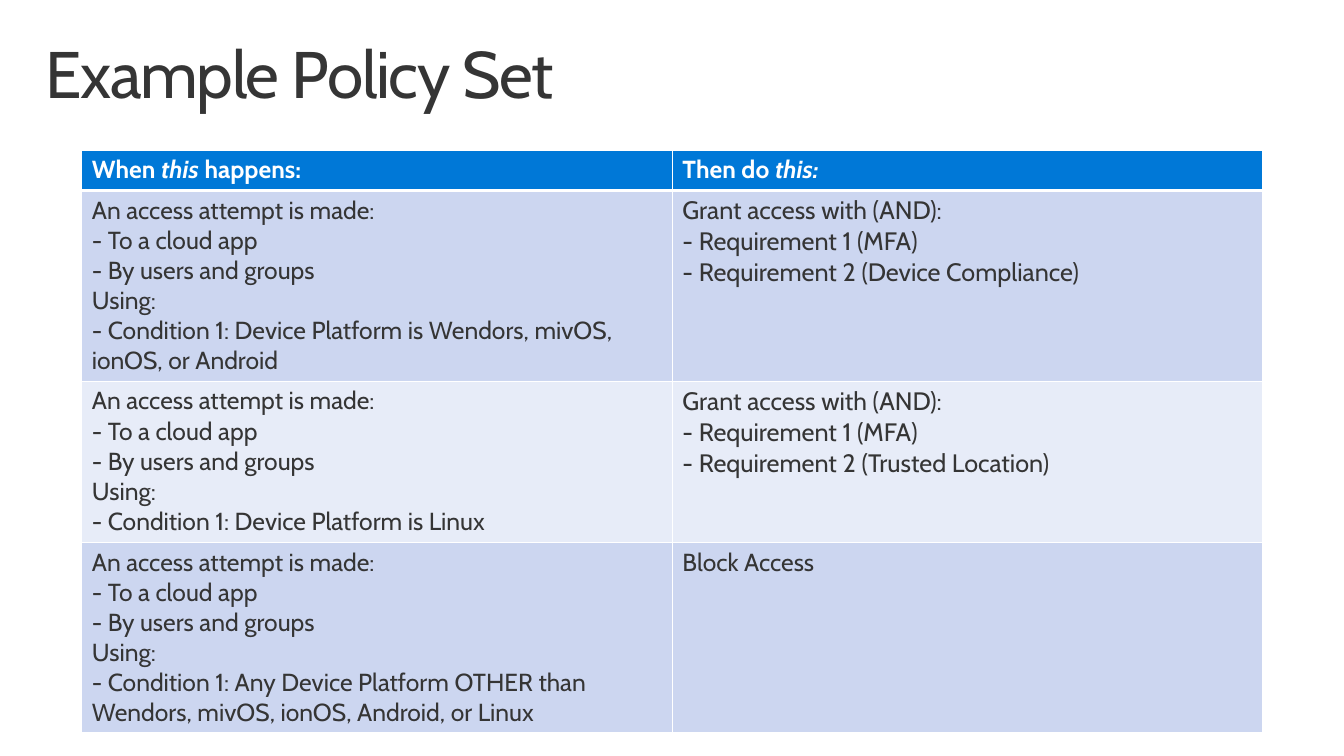
from dataclasses import dataclass

from lxml.etree import SubElement
from pptx import Presentation
from pptx.dml.color import RGBColor as RGB
from pptx.enum.text import MSO_ANCHOR as ANCHOR, MSO_AUTO_SIZE as AUTO, PP_ALIGN as ALIGN
from pptx.oxml.ns import qn
from pptx.util import Cm, Pt

FONT = "Cabin"
COLORS = {"ink": "353535", "white": "FFFFFF", "header": "0078D7",
          "band": "CCD6F0", "light": "E7ECF8"}


@dataclass
class Policy:
    condition: str
    action: str
    action_size: float
    fill: str
    height: float


HEADERS = [[("When ", False), ("this", True), (" happens:", False)],
           [("Then do ", False), ("this:", True)]]
ATTEMPT = ["An access attempt is made:", "- To a cloud app",
           "- By users and groups", "Using:"]
GRANT = "Grant access with (AND):\n- Requirement 1 (MFA)\n- Requirement 2 "
POLICIES = [
    Policy("Device Platform is Wendors, mivOS, ionOS, or Android",
           GRANT + "(Device Compliance)", 18, "band", 4.76),
    Policy("Device Platform is Linux",
           GRANT + "(Trusted Location)", 18, "light", 4.06),
    Policy("Any Device Platform OTHER than Wendors, mivOS, ionOS, Android, or Linux",
           "Block Access", 17.6, "band", 4.76),
]


def set_font(font, size: float, color: str, bold: bool = False) -> None:
    font.name = FONT
    font.size = Pt(size)
    font.bold = bold
    font.color.rgb = RGB.from_string(COLORS[color])


def style_cell(cell, fill: str, top: float, bottom: float) -> None:
    tc_pr = cell._tc.get_or_add_tcPr()
    for side, width in (("L", 1), ("R", 1), ("T", top), ("B", bottom)):
        ln = SubElement(tc_pr, qn(f"a:ln{side}"), w=str(Pt(width)))
        solid = SubElement(ln, qn("a:solidFill"))
        SubElement(solid, qn("a:srgbClr"), val=COLORS["white"])
    cell.fill.solid()
    cell.fill.fore_color.rgb = RGB.from_string(COLORS[fill])


def write_lines(cell, lines: list[str], size: float) -> None:
    tf = cell.text_frame
    for i, line in enumerate(lines):
        p = tf.add_paragraph() if i else tf.paragraphs[0]
        p.text = line
        set_font(p.font, size, "ink")


def add_title(s, text: str) -> None:
    title = s.shapes.title
    title.left, title.top, title.width, title.height = Cm(0.74), Cm(0.81), Cm(32.39), Cm(2.49)
    tf = title.text_frame
    tf.auto_size = AUTO.NONE
    tf.vertical_anchor = ANCHOR.TOP
    tf.margin_left = tf.margin_right = Cm(0.41)
    tf.margin_top = tf.margin_bottom = Cm(0.25)
    p = tf.paragraphs[0]
    p.text = text
    p.alignment = ALIGN.LEFT
    p.line_spacing = 0.9
    set_font(p.font, 47, "ink")
    p.runs[0]._r.get_or_add_rPr().set("spc", "-100")


def add_policy_table(s) -> None:
    table = s.shapes.add_table(len(POLICIES) + 1, len(HEADERS), Cm(2.06), Cm(3.78),
                               Cm(29.77), Cm(14.6)).table
    table.rows[0].height = Cm(1.02)
    for cell, parts in zip(table.rows[0].cells, HEADERS):
        style_cell(cell, "header", 1, 3)
        p = cell.text_frame.paragraphs[0]
        set_font(p.font, 17.6, "white", bold=True)
        for text, italic in parts:
            r = p.add_run()
            r.text = text
            r.font.italic = italic
    for i, policy in enumerate(POLICIES, 1):
        row = table.rows[i]
        row.height = Cm(policy.height)
        when, then = row.cells
        for cell in (when, then):
            style_cell(cell, policy.fill, 3 if i == 1 else 1, 1)
        write_lines(when, ATTEMPT + [f"- Condition 1: {policy.condition}"], 17.6)
        write_lines(then, [policy.action], policy.action_size)


def main() -> None:
    prs = Presentation()
    prs.slide_width, prs.slide_height = Cm(33.87), Cm(19.05)
    s = prs.slides.add_slide(prs.slide_layouts[5])
    add_title(s, "Example Policy Set")
    add_policy_table(s)
    prs.save("out.pptx")


if __name__ == "__main__":
    main()
